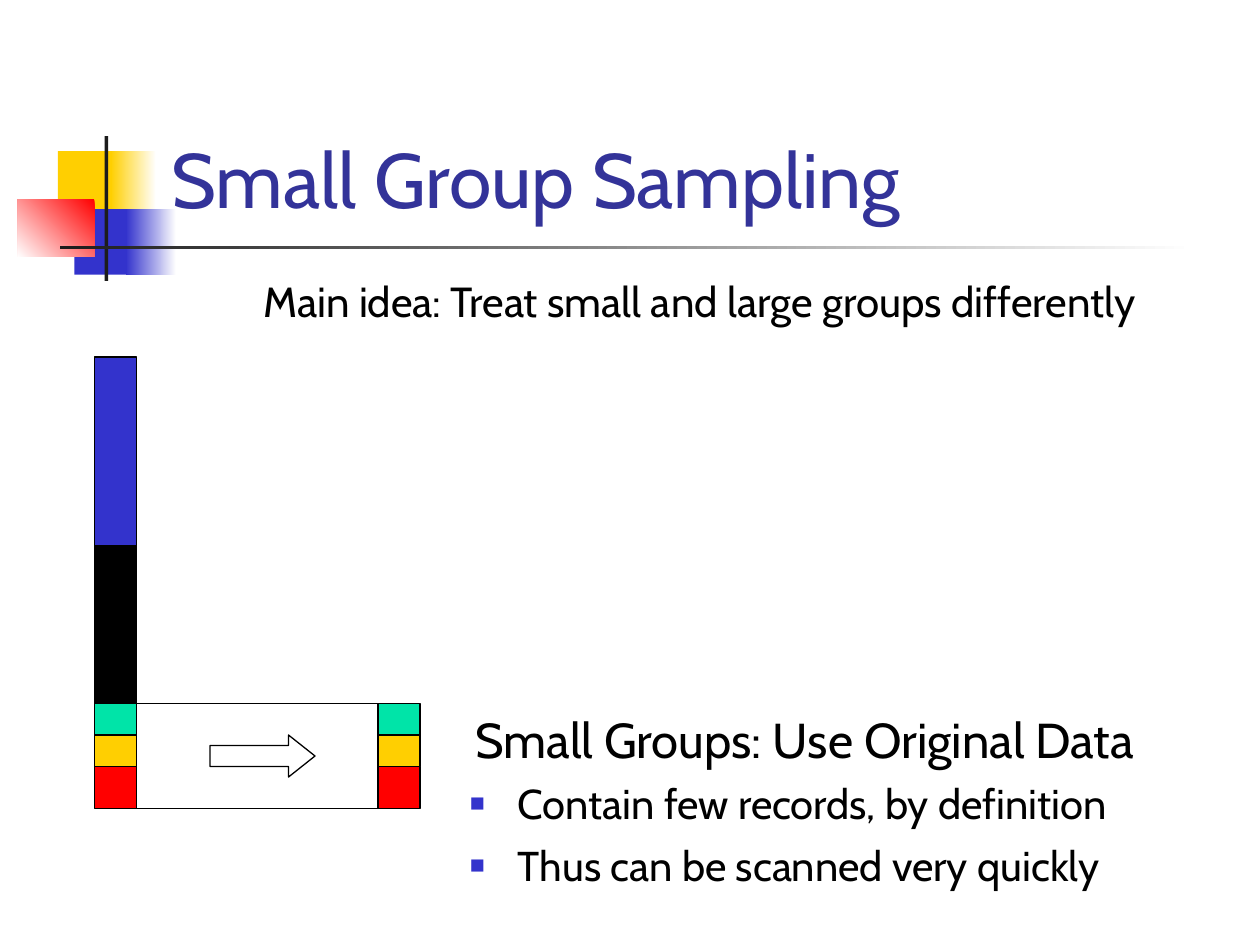
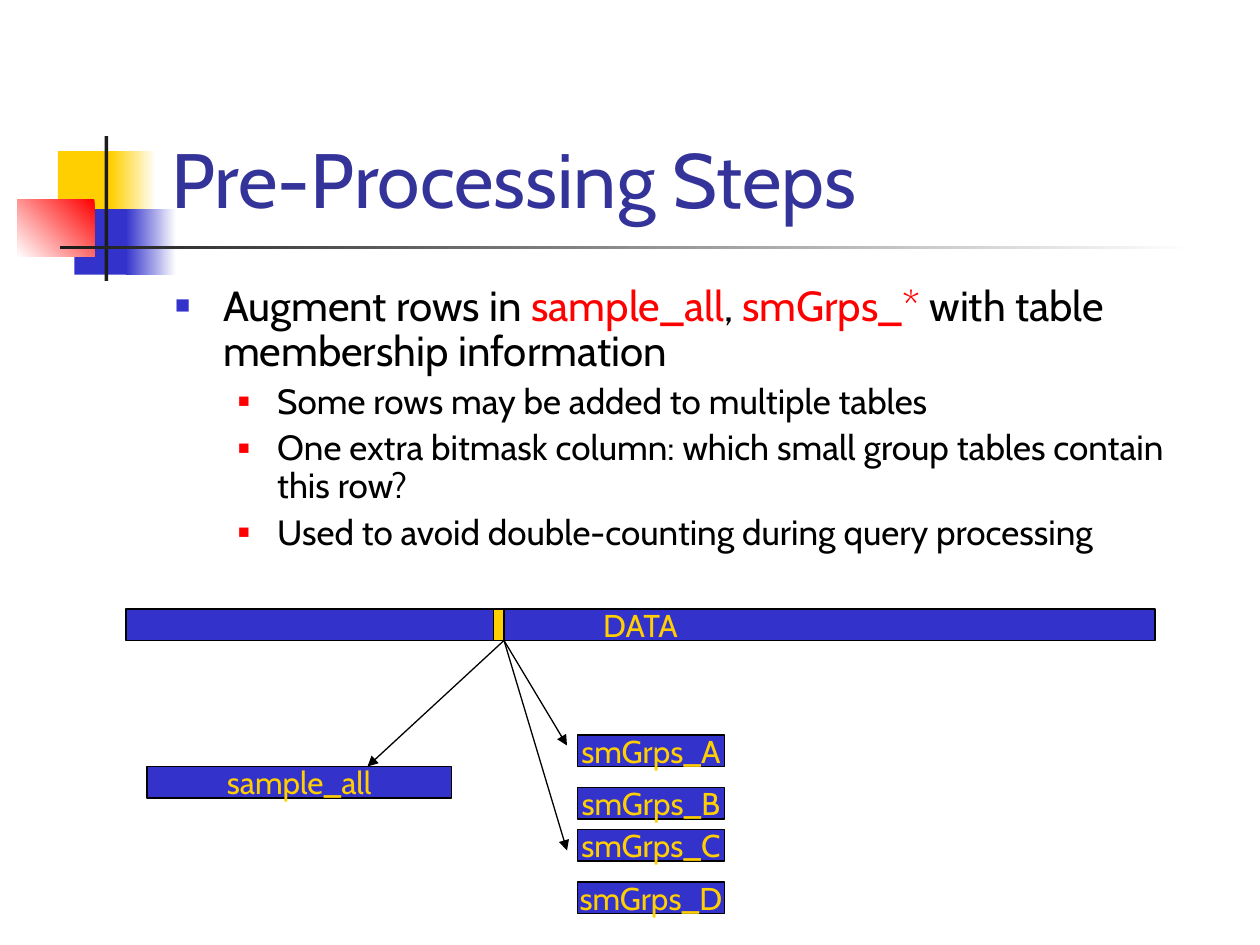
from dataclasses import dataclass

from lxml.etree import SubElement
from pptx import Presentation
from pptx.dml.color import RGBColor
from pptx.enum.shapes import MSO_CONNECTOR, MSO_SHAPE
from pptx.enum.text import MSO_ANCHOR, MSO_AUTO_SIZE, PP_ALIGN
from pptx.oxml.ns import qn
from pptx.shapes.autoshape import Shape
from pptx.shapes.base import BaseShape
from pptx.shapes.shapetree import GroupShapes, SlideShapes
from pptx.slide import Slide, SlideLayout
from pptx.text.text import TextFrame, _Paragraph
from pptx.util import Inches, Pt

BLUE = RGBColor(0x33, 0x33, 0xCC)
NAVY = RGBColor(0x33, 0x33, 0x99)
YELLOW = RGBColor(0xFF, 0xCF, 0x01)
RED = RGBColor(0xFF, 0x00, 0x00)
GREEN = RGBColor(0x00, 0xE4, 0xA8)
BLACK = RGBColor(0x00, 0x00, 0x00)
CHARCOAL = RGBColor(0x1C, 0x1C, 0x1C)
WHITE = RGBColor(0xFF, 0xFF, 0xFF)

FONT = "Cabin"
LINE_WIDTH = Pt(0.75)
UNITS_PER_INCH = 12  # diagrams sit on a grid of 120 columns by 90 rows

Shapes = SlideShapes | GroupShapes


@dataclass(frozen=True)
class Area:
    """Left, top, width and height in inches."""

    left: float
    top: float
    width: float
    height: float

    def lengths(self) -> list[int]:
        return [Inches(side) for side in (self.left, self.top, self.width, self.height)]


@dataclass(frozen=True)
class Ornament:
    """Theme block; with an end colour it is a gradient at a counter-clockwise angle."""

    area: Area
    color: RGBColor
    end: RGBColor | None = None
    angle: int = 180


@dataclass(frozen=True)
class Bullet:
    left: float
    hanging: float
    color: RGBColor
    percent: int


@dataclass(frozen=True)
class Segment:
    """Part of a vertical bar, measured in grid rows."""

    top: int
    rows: int
    color: RGBColor


ORNAMENTS = [
    Ornament(Area(0.46, 1.2, 0.48, 0.52), YELLOW),
    Ornament(Area(0.88, 1.2, 0.36, 0.52), WHITE, YELLOW),
    Ornament(Area(0.59, 1.66, 0.46, 0.52), BLUE),
    Ornament(Area(1, 1.66, 0.4, 0.52), WHITE, BLUE),
    Ornament(Area(0.14, 1.58, 0.61, 0.46), RED, WHITE, 225),
    Ornament(Area(0.83, 1.08, 0.03, 1.15), CHARCOAL),
    Ornament(Area(0.48, 1.95, 9, 0.03), WHITE, CHARCOAL),
]
TITLE_AREA = Area(1.26, 0.23, 8.52, 1.6)
MAIN_BULLET = Bullet(0.38, 0.38, BLUE, 60)
SUB_BULLET = Bullet(0.81, 0.31, RED, 55)

LARGE_GROUPS = [Segment(34, 18, BLUE), Segment(52, 15, BLACK)]
SMALL_GROUPS = [Segment(67, 3, GREEN), Segment(70, 3, YELLOW), Segment(73, 4, RED)]
BAR_COLUMNS = 4
BAR_ROWS = 3


def cells(column: float, row: float, columns: float, rows: float) -> Area:
    """Turn grid columns and rows into an area."""
    return Area(*(count / UNITS_PER_INCH for count in (column, row, columns, rows)))


def place(shape: BaseShape, area: Area) -> None:
    shape.left, shape.top, shape.width, shape.height = area.lengths()


def write(para: _Paragraph, text: str, *, size: float, color: RGBColor = BLACK,
          align: PP_ALIGN = PP_ALIGN.LEFT, before: float = 0,
          spacing: float = 1.0) -> None:
    """Append a formatted span and set the format of its paragraph."""
    para.alignment = align
    para.space_before = Pt(before)
    para.line_spacing = spacing
    span = para.add_run()
    span.text = text
    span.font.name = FONT
    span.font.size = Pt(size)
    span.font.color.rgb = color


def add_bullet(para: _Paragraph, bullet: Bullet) -> None:
    properties = para._p.get_or_add_pPr()
    properties.set("marL", str(Inches(bullet.left)))
    properties.set("indent", str(-Inches(bullet.hanging)))
    color = SubElement(properties, qn("a:buClr"))
    SubElement(color, qn("a:srgbClr"), val=str(bullet.color))
    SubElement(properties, qn("a:buSzPct"), val=str(bullet.percent * 1000))
    SubElement(properties, qn("a:buChar"), char="■")


def next_paragraph(frame: TextFrame) -> _Paragraph:
    """Return the empty first paragraph, or a new one once that is filled."""
    first = frame.paragraphs[0]
    return frame.add_paragraph() if first.runs else first


def add_block(shapes: Shapes, area: Area, color: RGBColor | None = None, *,
              outline: bool = True, kind: MSO_SHAPE = MSO_SHAPE.RECTANGLE) -> Shape:
    block = shapes.add_shape(kind, *area.lengths())
    block.shadow.inherit = False
    if color is None:
        block.fill.background()
    else:
        block.fill.solid()
        block.fill.fore_color.rgb = color
    if outline:
        block.line.color.rgb = BLACK
        block.line.width = LINE_WIDTH
    else:
        block.line.fill.background()
    return block


def add_label_bar(shapes: Shapes, area: Area, label: str) -> None:
    frame = add_block(shapes, area, BLUE).text_frame
    frame.word_wrap = False
    frame.vertical_anchor = MSO_ANCHOR.MIDDLE
    write(frame.paragraphs[0], label, size=18, color=YELLOW, align=PP_ALIGN.CENTER)


def add_bar(shapes: Shapes, column: int, segments: list[Segment]) -> None:
    for segment in segments:
        add_block(shapes, cells(column, segment.top, BAR_COLUMNS, segment.rows),
                  segment.color)


def add_line(shapes: Shapes, start: tuple[int, int], end: tuple[int, int], *,
             arrow: bool = False) -> None:
    """Join two grid points, given as column and row."""
    ends = [Inches(count / UNITS_PER_INCH) for count in (*start, *end)]
    line = shapes.add_connector(MSO_CONNECTOR.STRAIGHT, *ends)
    line.line.color.rgb = BLACK
    line.line.width = LINE_WIDTH
    if arrow:
        SubElement(line.get_or_add_ln(), qn("a:tailEnd"), type="triangle")
    SubElement(line.element.spPr, qn("a:effectLst"))


def add_caption(shapes: Shapes, area: Area, text: str, size: float) -> None:
    frame = shapes.add_textbox(*area.lengths()).text_frame
    frame.word_wrap = False
    write(frame.paragraphs[0], text, size=size, align=PP_ALIGN.CENTER)


def decorate(layout: SlideLayout, slide: Slide) -> None:
    """Build the ornaments on a slide and move them to the shared layout."""
    for ornament in ORNAMENTS:
        block = add_block(slide.shapes, ornament.area, ornament.color, outline=False)
        if ornament.end is not None:
            block.fill.gradient()
            block.fill.gradient_angle = ornament.angle
            for stop, color in zip(block.fill.gradient_stops,
                                   (ornament.color, ornament.end)):
                stop.color.rgb = color
        layout.shapes.element.append(block.element)


def set_title(slide: Slide, text: str) -> None:
    title = slide.shapes.title
    place(title, TITLE_AREA)
    title.text_frame.vertical_anchor = MSO_ANCHOR.BOTTOM
    title.text_frame.auto_size = MSO_AUTO_SIZE.NONE
    write(title.text_frame.paragraphs[0], text, size=44, color=NAVY)


def body_frame(slide: Slide, area: Area) -> TextFrame:
    body = slide.placeholders[1]
    place(body, area)
    body.text_frame.auto_size = MSO_AUTO_SIZE.NONE
    return body.text_frame


def build_sampling(slide: Slide) -> None:
    set_title(slide, "Small Group Sampling")
    shapes = slide.shapes
    add_bar(shapes, 9, LARGE_GROUPS + SMALL_GROUPS)

    copied = shapes.add_group_shape().shapes
    add_bar(copied, 36, SMALL_GROUPS)
    arrow = add_block(copied, cells(20, 70, 10, 4), kind=MSO_SHAPE.RIGHT_ARROW)
    arrow.adjustments[1] = 0.63
    add_line(copied, (13, 67), (37, 67))
    add_line(copied, (12, 77), (37, 77))

    add_caption(shapes, Area(1.49, 2.14, 8.12, 0.5),
                "Main idea: Treat small and large groups differently", 24)
    add_caption(shapes, Area(3.36, 5.58, 6.05, 0.57),
                "Small Groups: Use Original Data", 28)
    frame = body_frame(slide, Area(3.63, 6.12, 6.46, 1.04))
    for text, before in (("Contain few records, by definition", 0),
                         ("Thus can be scanned very quickly", 7)):
        para = next_paragraph(frame)
        add_bullet(para, MAIN_BULLET)
        write(para, text, size=23.8, before=before)


def build_preprocessing(slide: Slide) -> None:
    set_title(slide, "Pre-Processing Steps")
    frame = body_frame(slide, Area(1.29, 2.21, 8.5, 2.29))
    para = next_paragraph(frame)
    add_bullet(para, MAIN_BULLET)
    for text, color in (("Augment rows in ", BLACK), ("sample_all", RED),
                        (", ", BLACK), ("smGrps_*", RED),
                        (" with table membership information", BLACK)):
        write(para, text, size=24, color=color, spacing=0.9)
    for text in ("Some rows may be added to multiple tables",
                 "One extra bitmask column: which small group tables contain this row?",
                 "Used to avoid double-counting during query processing"):
        para = next_paragraph(frame)
        para.level = 1
        add_bullet(para, SUB_BULLET)
        write(para, text, size=20, before=5, spacing=0.9)

    shapes = slide.shapes
    for letter, row in zip("ABCD", (70, 75, 79, 84)):
        add_label_bar(shapes, cells(55, row, 14, BAR_ROWS), f"smGrps_{letter}")
    add_label_bar(shapes, cells(14, 73, 29, BAR_ROWS), "sample_all")
    add_label_bar(shapes, cells(12, 58, 98, BAR_ROWS), "DATA")
    add_block(shapes, cells(47, 58, 1, BAR_ROWS), YELLOW)
    for target in ((54, 81), (54, 71), (35, 73)):
        add_line(shapes, (48, 61), target, arrow=True)


def main() -> None:
    deck = Presentation()
    deck.slide_width, deck.slide_height = Inches(10), Inches(7.5)
    layout = deck.slide_layouts[1]
    pages = [deck.slides.add_slide(layout) for _ in range(2)]
    decorate(layout, pages[0])
    build_sampling(pages[0])
    build_preprocessing(pages[1])
    deck.save("out.pptx")


if __name__ == "__main__":
    main()
